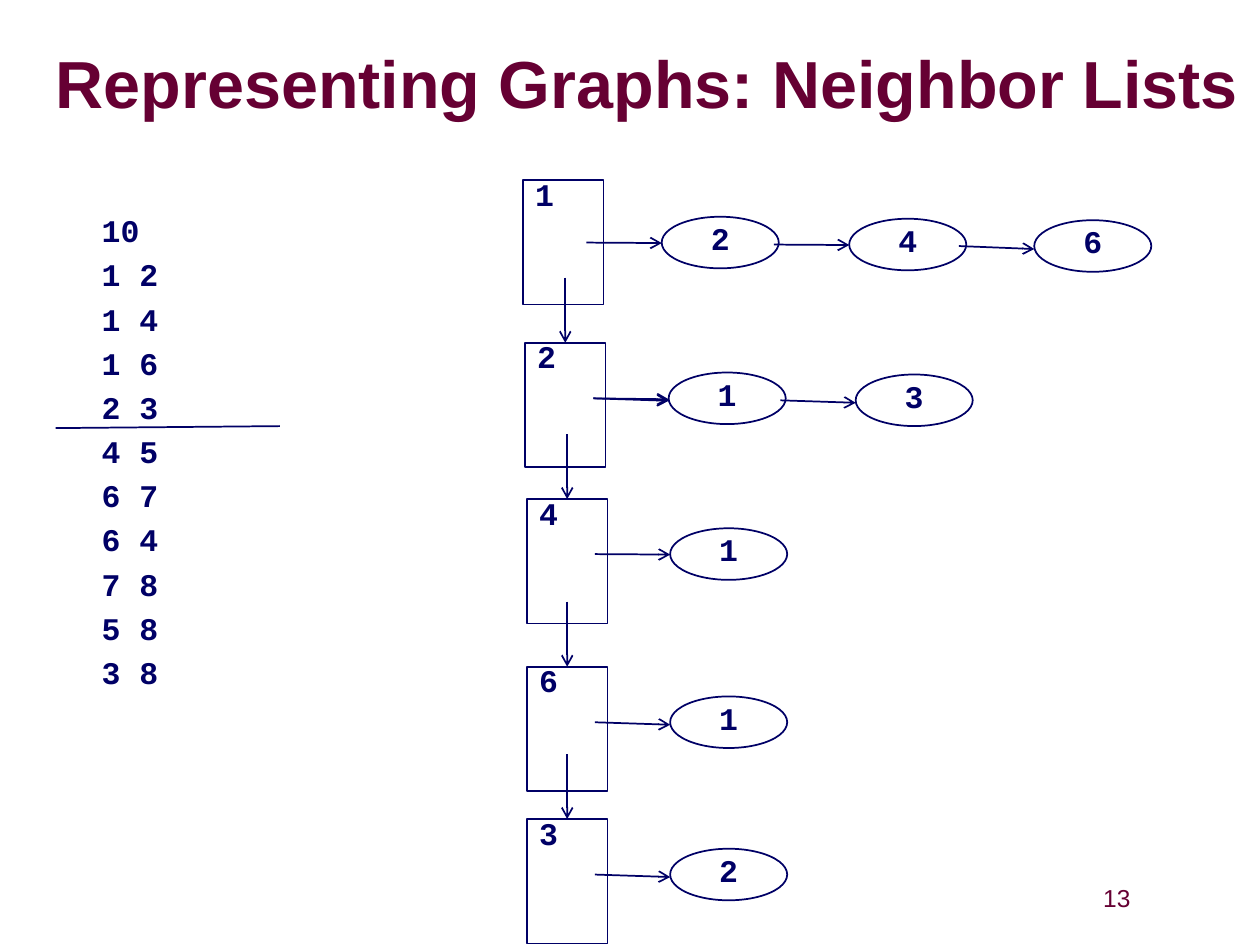
"""Build a slide that shows a graph as neighbor lists."""
import dataclasses
import typing

import lxml.etree
import pptx
import pptx.dml.color
import pptx.enum.shapes
import pptx.enum.text
import pptx.oxml
import pptx.oxml.ns
import pptx.util

Cm = pptx.util.Cm
Pt = pptx.util.Pt
Shape = pptx.enum.shapes.MSO_SHAPE
Align = pptx.enum.text.PP_ALIGN
Anchor = pptx.enum.text.MSO_ANCHOR
Fit = pptx.enum.text.MSO_AUTO_SIZE

COLORS = {"ink": "000066", "wine": "660033", "paper": "FFFFFF", "shade": "969696"}
CODE = {"name": "Courier New", "size": Pt(18), "bold": True}
HEAD = {"name": "Arial", "size": Pt(38), "bold": True}
FOOT = {"name": "Arial", "size": Pt(14), "bold": False}
TIGHT = {"line_spacing": 0.65, "space_before": Pt(11.2)}
INSET = {"margin_left": Cm(0.25), "margin_right": Cm(0.25),
         "margin_top": Cm(0.13), "margin_bottom": Cm(0.13)}
FLUSH = dict.fromkeys(INSET, 0)
SMALL = dict.fromkeys(INSET, Cm(0.13))
BOX_W, BOX_H = 1.63, 2.51
OVAL_W, OVAL_H = 2.36, 1.04
REACH, DROP = 1.52, 1.31


@dataclasses.dataclass
class Node:
    text: str
    left: float
    top: float
    dips: tuple[float, ...] = (0.05,)


@dataclasses.dataclass
class Row:
    text: str
    left: float
    top: float
    nodes: list[Node]


ROWS = [
    Row("1", 10.54, 3.63, [Node("2", 13.34, 4.37, (0.01,)),
                           Node("4", 17.12, 4.41, (0.01,)),
                           Node("6", 20.85, 4.44, (0.06,))]),
    Row("2", 10.58, 6.91, [Node("1", 13.48, 7.51, (0.05, 0.02)),
                           Node("3", 17.25, 7.55)]),
    Row("4", 10.62, 10.06, [Node("1", 13.51, 10.65, (0.01,))]),
    Row("6", 10.62, 13.44, [Node("1", 13.51, 14.04)]),
    Row("3", 10.62, 16.51, [Node("2", 13.51, 17.11)]),
]
EDGES = ["10", "1 2", "1 4", "1 6", "2 3", "4 5", "6 7", "6 4", "7 8", "5 8", "3 8"]


def tint(key: str) -> pptx.dml.color.RGBColor:
    """Return a named color."""
    return pptx.dml.color.RGBColor.from_string(COLORS[key])


def apply(thing: typing.Any, values: dict[str, typing.Any]) -> None:
    """Set each value on the thing."""
    for name, value in values.items():
        setattr(thing, name, value)


def write(shape: typing.Any, lines: list[str], font: dict, para: dict,
          frame: dict, color: str = "ink") -> None:
    """Fill a shape with styled lines of text."""
    body = shape.text_frame
    apply(body, frame)
    body.text = "\n".join(lines)
    for part in body.paragraphs:
        apply(part, para)
        for run in part.runs:
            apply(run.font, font)
            run.font.color.rgb = tint(color)


def place(slide: typing.Any, kind: Shape, text: str, area: tuple[float, ...],
          align: Align) -> None:
    """Draw an outlined shape with a label."""
    shape = slide.shapes.add_shape(kind, *map(Cm, area))
    shape.shadow.inherit = False
    shape.fill.solid()
    shape.fill.fore_color.rgb = tint("paper")
    shape.line.color.rgb = tint("ink")
    shape.line.width = Pt(1)
    write(shape, [text], CODE, {**TIGHT, "alignment": align},
          {**INSET, "word_wrap": True, "vertical_anchor": Anchor.TOP,
           "auto_size": Fit.SHAPE_TO_FIT_TEXT})


def link(slide: typing.Any, ends: tuple[float, ...], arrow: bool = True) -> None:
    """Draw a line, with an arrowhead if asked."""
    line = slide.shapes.add_connector(
        pptx.enum.shapes.MSO_CONNECTOR.STRAIGHT, *map(Cm, ends))
    line.line.color.rgb = tint("ink")
    line.line.width = Pt(1)
    if arrow:
        tail = lxml.etree.SubElement(line.line._get_or_add_ln(),
                                     pptx.oxml.ns.qn("a:tailEnd"))
        tail.set("type", "arrow")
    lxml.etree.SubElement(line._element.spPr, pptx.oxml.ns.qn("a:effectLst"))


def shade(run: typing.Any) -> None:
    """Give a run of text a drop shadow."""
    space = pptx.oxml.ns.nsdecls("a")
    glow = pptx.oxml.parse_xml(
        f'<a:effectLst {space}><a:outerShdw dist="53882" dir="2700000">'
        f'<a:srgbClr val="{COLORS["shade"]}"/></a:outerShdw></a:effectLst>')
    run.font.fill._xPr.find(pptx.oxml.ns.qn("a:solidFill")).addnext(glow)


def label(slide: typing.Any, area: tuple[float, ...], lines: list[str],
          font: dict, para: dict, frame: dict, color: str) -> None:
    """Add a text box that does not wrap."""
    box = slide.shapes.add_textbox(*map(Cm, area))
    write(box, lines, font, para,
          {**frame, "word_wrap": False, "auto_size": Fit.SHAPE_TO_FIT_TEXT}, color)


def chain(slide: typing.Any, row: Row, first: bool) -> None:
    """Draw a box, the arrow down to it and its list of nodes."""
    place(slide, Shape.RECTANGLE, row.text, (row.left, row.top, BOX_W, BOX_H), Align.LEFT)
    if not first:
        mid = row.left + BOX_W / 2
        link(slide, (mid, row.top - DROP, mid, row.top))
    for node in row.nodes:
        place(slide, Shape.OVAL, node.text, (node.left, node.top, OVAL_W, OVAL_H),
              Align.CENTER)
        mid = node.top + OVAL_H / 2
        for dip in node.dips:
            link(slide, (node.left - REACH, mid, node.left, mid + dip))


def main() -> None:
    """Build and save the slide."""
    deck = pptx.Presentation()
    apply(deck, {"slide_width": Cm(25.4), "slide_height": Cm(19.05)})
    slide = deck.slides.add_slide(deck.slide_layouts[5])
    title = slide.shapes.title
    apply(title, {"left": Cm(1.12), "top": Cm(0.69), "width": Cm(24.2), "height": Cm(2.16)})
    write(title, ["Representing Graphs: Neighbor Lists"], HEAD,
          {"line_spacing": 0.87, "alignment": Align.LEFT},
          {**FLUSH, "vertical_anchor": Anchor.MIDDLE, "word_wrap": True,
           "auto_size": Fit.NONE}, "wine")
    shade(title.text_frame.paragraphs[0].runs[0])
    label(slide, (21.26, 17.75, 2.51, 0.79), ["13"], FOOT,
          {"line_spacing": 0.9, "alignment": Align.CENTER},
          {**SMALL, "vertical_anchor": Anchor.MIDDLE}, "wine")
    link(slide, (1.12, 8.63, 5.64, 8.59), arrow=False)
    for row in ROWS:
        chain(slide, row, row is ROWS[0])
    label(slide, (1.8, 4.37, 2.03, 9.68), EDGES, CODE, TIGHT, INSET, "ink")
    deck.save("out.pptx")


if __name__ == "__main__":
    main()
